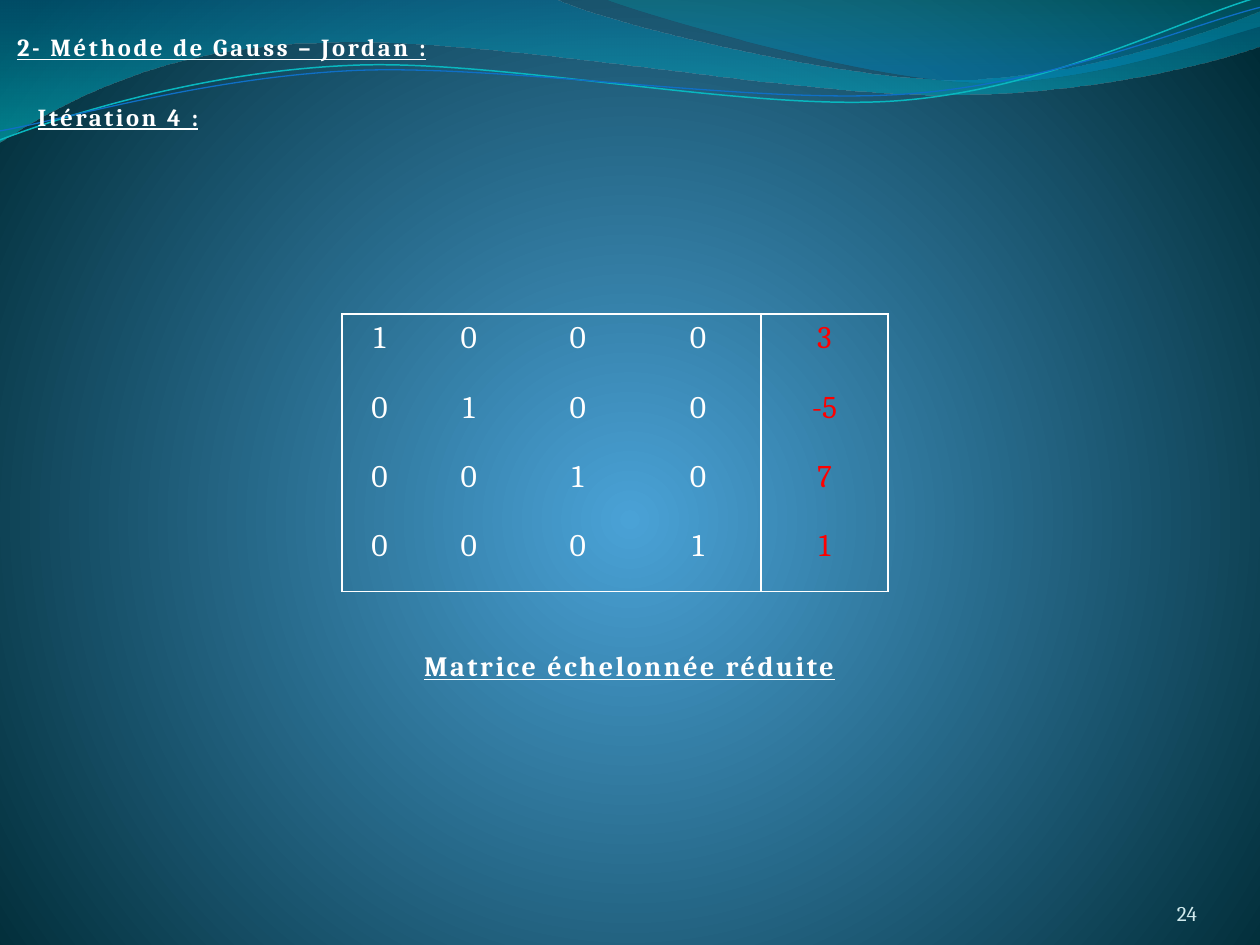
"""Builds the Gauss-Jordan slide showing the reduced echelon matrix."""
import math

from lxml import etree
from pptx import Presentation
from pptx import util as u
from pptx.dml.color import RGBColor
from pptx.enum import text
from pptx.oxml import parse_xml
from pptx.oxml.ns import nsdecls, qn

COLORS = {
    "text": "FFFFFF", "result": "FF0000", "number": "D1EAED",
    "glow": "4AA2D6", "night": "002B36",
    "blue": "0074A0", "aqua": "00C4CD", "azure": "008ABF", "teal": "00A0A8",
    "cyan_line": "09B7BF", "blue_line": "0F6FC6",
}
MATRIX = [[1, 0, 0, 0, 3], [0, 1, 0, 0, -5], [0, 0, 1, 0, 7], [0, 0, 0, 1, 1]]
COLUMNS = [1.52, 2.08, 2.31, 2.54, 2.56]
BROAD_WAVE = [
    (0, 0), (11.18, -0.03),
    (12.09, 0.43, 16.87, 1.6, 19.25, 1.6), (21.67, 1.6, 24.33, 0.66, 25.4, 0.23),
    (25.43, 0.91),
    (24.97, 1.12, 22.1, 1.93, 18.95, 1.91), (15.8, 1.91, 9.7, 0.71, 6.53, 0.86),
    (3.28, 0.89, 1.17, 2.11, -0.03, 2.87), (0, 0),
]
RIGHT_WAVE = [
    (12.17, -0.03),
    (12.93, 0.28, 17.32, 1.57, 19.53, 1.65), (21.74, 1.75, 24.41, 0.81, 25.4, 0.53),
    (25.4, 0), (12.17, -0.03),
]
CYAN_CURVE = [
    (0, 2.82),
    (1.22, 2.36, 4.01, 1.45, 7.04, 1.32), (10.03, 1.17, 15.06, 2.26, 18.11, 2.03),
    (21.16, 1.8, 23.83, 0.38, 25.35, -0.05),
]
BLUE_CURVE = [
    (0, 2.64),
    (1.19, 2.44, 4.17, 1.55, 7.19, 1.42), (10.24, 1.3, 15.16, 2.11, 18.21, 1.9),
    (21.23, 1.7, 23.9, 0.53, 25.4, 0.15),
]


def rgb(name):
    return RGBColor.from_string(COLORS[name])


def gradient(stops, shade):
    gs = "".join(
        f'<a:gs pos="{pos * 1000}"><a:srgbClr val="{COLORS[name]}">'
        f'<a:alpha val="{alpha * 1000}"/></a:srgbClr></a:gs>'
        for pos, name, alpha in stops)
    return parse_xml(f'<a:gradFill {nsdecls("a")} rotWithShape="1">'
                     f'<a:gsLst>{gs}</a:gsLst>{shade}</a:gradFill>')


def pairs(step):
    return list(zip(step[::2], step[1::2]))


def turn(steps, degrees):
    """Turns the steps about the middle of their end points."""
    xs, ys = zip(*(step[-2:] for step in steps))
    cx, cy = (min(xs) + max(xs)) / 2, (min(ys) + max(ys)) / 2
    cos, sin = math.cos(math.radians(degrees)), math.sin(math.radians(degrees))
    return [sum(((cx + (x - cx) * cos - (y - cy) * sin,
                  cy + (x - cx) * sin + (y - cy) * cos) for x, y in pairs(step)), ())
            for step in steps]


class Deck:
    font = "Cambria"
    border = u.Pt(0.96)
    tilt = 2.7

    def __init__(self):
        self.prs = Presentation()
        self.prs.slide_width, self.prs.slide_height = u.Cm(25.4), u.Cm(19.05)
        self.s = self.prs.slides.add_slide(self.prs.slide_layouts[5])

    def background(self, inner, outer):
        bg = parse_xml(f'<p:bg {nsdecls("p", "a")}><p:bgPr><a:effectLst/></p:bgPr></p:bg>')
        shade = ('<a:path path="circle">'
                 '<a:fillToRect l="50000" t="55000" r="50000" b="45000"/></a:path>')
        bg[0].insert(0, gradient([(0, inner, 100), (100, outer, 100)], shade))
        self.s.element.cSld.insert(0, bg)

    def outline(self, steps, close):
        ends = [(u.Cm(step[-2]), u.Cm(step[-1])) for step in steps]
        builder = self.s.shapes.build_freeform(*ends[0])
        builder.add_line_segments(ends[1:], close=close)
        sp = builder.convert_to_shape()
        sp.shadow.inherit = False
        lines = list(sp.element.iter(qn("a:lnTo")))
        for line, step in zip(lines, steps[1:]):
            if len(step) == 6:
                bend = etree.Element(qn("a:cubicBezTo"))
                for x, y in pairs(step):
                    etree.SubElement(bend, qn("a:pt"), x=str(u.Cm(x) - sp.left),
                                     y=str(u.Cm(y) - sp.top))
                line.getparent().replace(line, bend)
        return sp

    def wave(self, steps, stops, angle):
        sp = self.outline(steps, True)
        sp.line.fill.background()
        sp.fill.gradient()
        old = sp.element.spPr.find(qn("a:gradFill"))
        shade = f'<a:lin ang="{angle * 60000}" scaled="0"/>'
        sp.element.spPr.replace(old, gradient(stops, shade))

    def curve(self, steps, color, width):
        sp = self.outline(turn(steps, self.tilt), False)
        sp.rotation = 360 - self.tilt
        sp.fill.background()
        sp.line.color.rgb = rgb(color)
        sp.line.width = u.Pt(width)

    def run(self, p, words, size, color, heading=False):
        r = p.add_run()
        r.text = words
        r.font.name, r.font.size = self.font, u.Pt(size)
        r.font.color.rgb = rgb(color)
        if heading:
            r.font.bold = r.font.underline = True
            r.font._element.set("spc", "150")

    def place(self, sp, box):
        sp.left, sp.top, sp.width, sp.height = (u.Cm(v) for v in box)

    def heading(self, sp, words, box, size):
        self.place(sp, box)
        tf = sp.text_frame
        tf.word_wrap = True
        tf.auto_size = text.MSO_AUTO_SIZE.SHAPE_TO_FIT_TEXT
        tf.vertical_anchor = text.MSO_ANCHOR.TOP
        p = tf.paragraphs[0]
        p.alignment = text.PP_ALIGN.LEFT
        self.run(p, words, size, "text", heading=True)

    def title(self, words, box, size):
        sp = self.s.shapes.title
        self.s.shapes.element.append(sp.element)
        self.heading(sp, words, box, size)

    def label(self, words, box, size):
        self.heading(self.s.shapes.add_textbox(0, 0, 0, 0), words, box, size)

    def page_number(self, words, box):
        sp = self.s.shapes.add_textbox(0, 0, 0, 0)
        self.place(sp, box)
        tf = sp.text_frame
        tf.word_wrap = True
        tf.vertical_anchor = text.MSO_ANCHOR.BOTTOM
        tf.margin_left = tf.margin_top = tf.margin_right = tf.margin_bottom = 0
        p = tf.paragraphs[0]
        p.alignment = text.PP_ALIGN.RIGHT
        self.run(p, words, 12, "number")

    def edges(self, cell, drawn):
        tcPr = cell._tc.get_or_add_tcPr()
        for i, side in enumerate("LRTB"):
            ln = etree.Element(qn(f"a:ln{side}"), w=str(self.border))
            if side in drawn:
                fill = etree.SubElement(ln, qn("a:solidFill"))
                etree.SubElement(fill, qn("a:srgbClr"), val=COLORS["text"])
            else:
                etree.SubElement(ln, qn("a:noFill"))
            tcPr.insert(i, ln)

    def matrix(self, rows, columns, left, top, row_height):
        last_row, last_col = len(rows) - 1, len(columns) - 1
        table = self.s.shapes.add_table(
            len(rows), len(columns), u.Cm(left), u.Cm(top),
            u.Cm(sum(columns)), u.Cm(row_height * len(rows))).table
        table.first_row = table.horz_banding = False
        for column, width in zip(table.columns, columns):
            column.width = u.Cm(width)
        for i, row in enumerate(rows):
            table.rows[i].height = u.Cm(row_height)
            for j, value in enumerate(row):
                cell = table.cell(i, j)
                cell.fill.background()
                p = cell.text_frame.paragraphs[0]
                p.alignment = text.PP_ALIGN.CENTER
                self.run(p, str(value), 18, "result" if j == last_col else "text")
                drawn = {"L": j in (0, last_col), "R": j >= last_col - 1,
                         "T": i == 0, "B": i == last_row}
                self.edges(cell, [side for side, on in drawn.items() if on])


def main():
    deck = Deck()
    deck.background("glow", "night")
    deck.wave(BROAD_WAVE, [(0, "blue", 45), (100, "aqua", 55)], 90)
    deck.wave(RIGHT_WAVE, [(20, "azure", 45), (100, "teal", 30)], 270)
    deck.curve(CYAN_CURVE, "cyan_line", 0.85)
    deck.curve(BLUE_CURVE, "blue_line", 0.75)
    deck.title("2- Méthode de Gauss – Jordan :", (0.09, 0.52, 9.35, 0.85), 14)
    deck.label("Itération 4 :", (0.51, 1.93, 5.38, 0.85), 14)
    deck.page_number("24", (22.02, 17.65, 2.11, 1.02))
    deck.label("Matrice échelonnée réduite", (8.3, 12.95, 9.45, 0.94), 16)
    deck.matrix(MATRIX, COLUMNS, 6.89, 6.33, 1.4)
    deck.prs.save("out.pptx")


if __name__ == "__main__":
    main()
